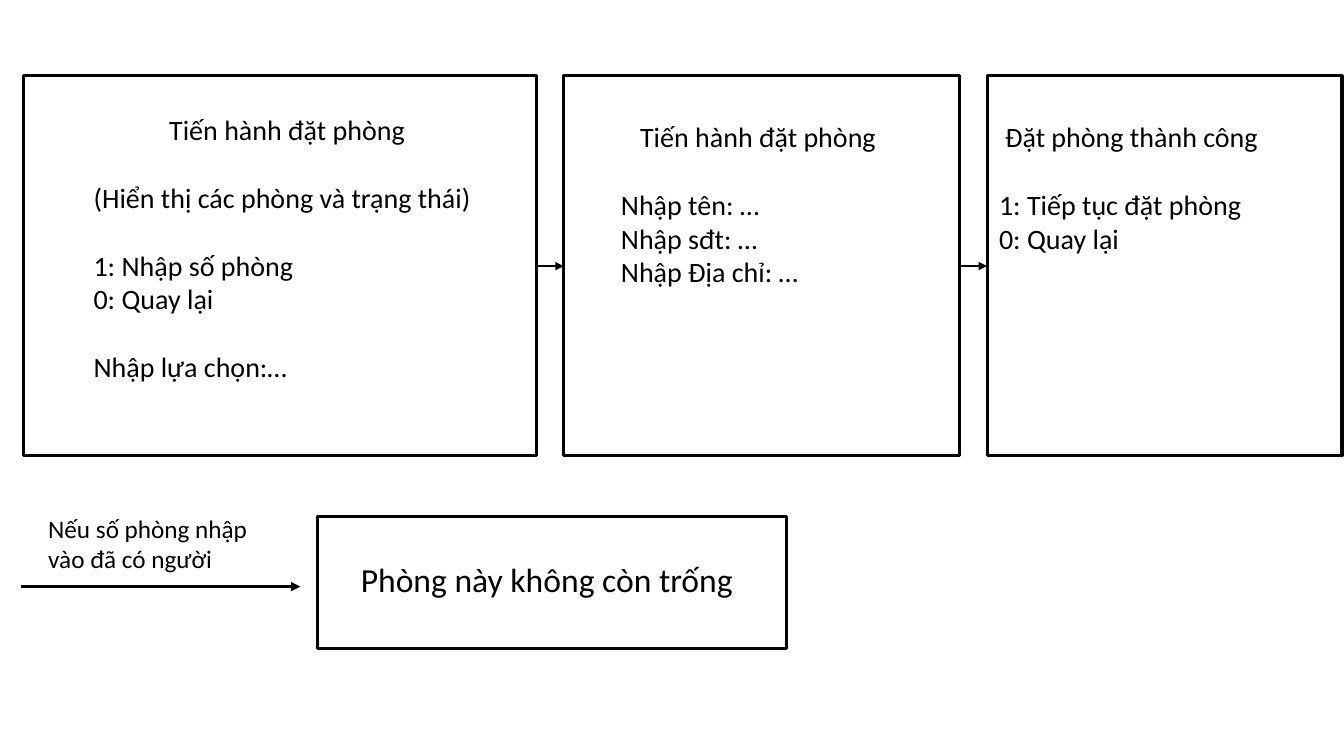
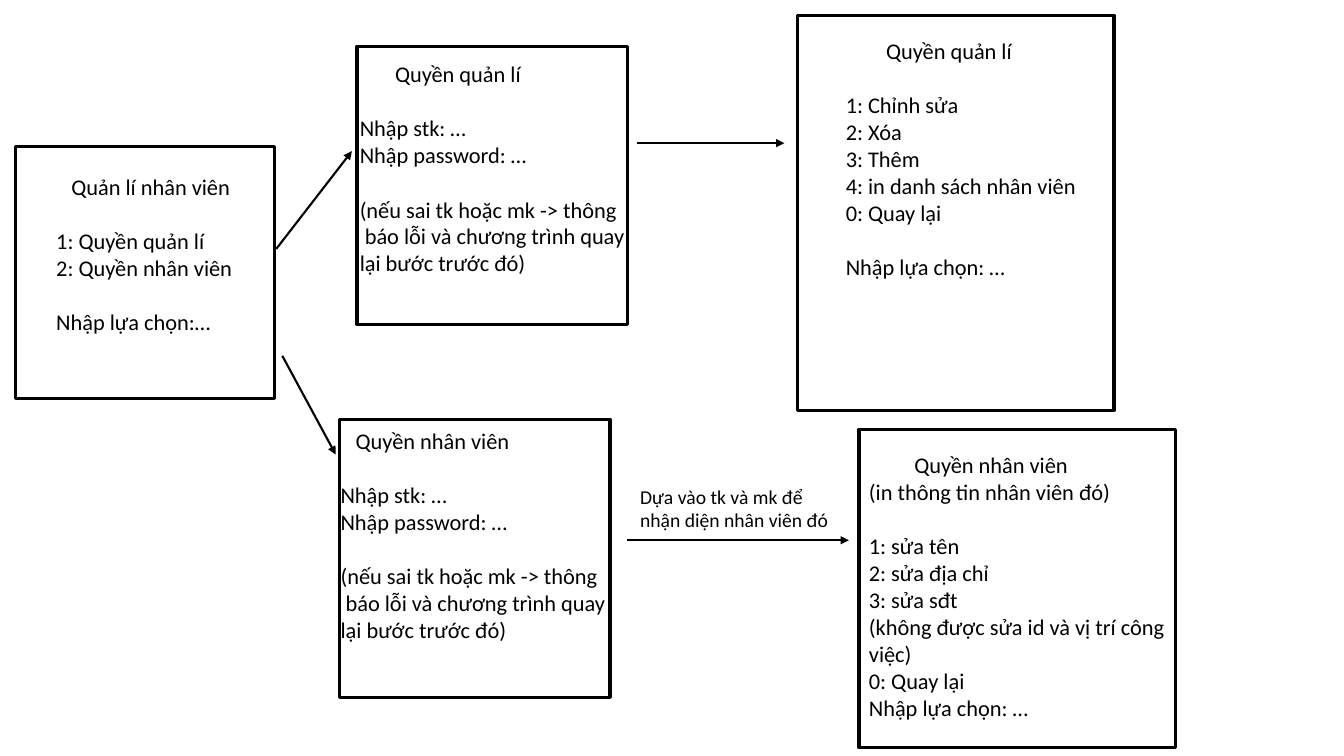
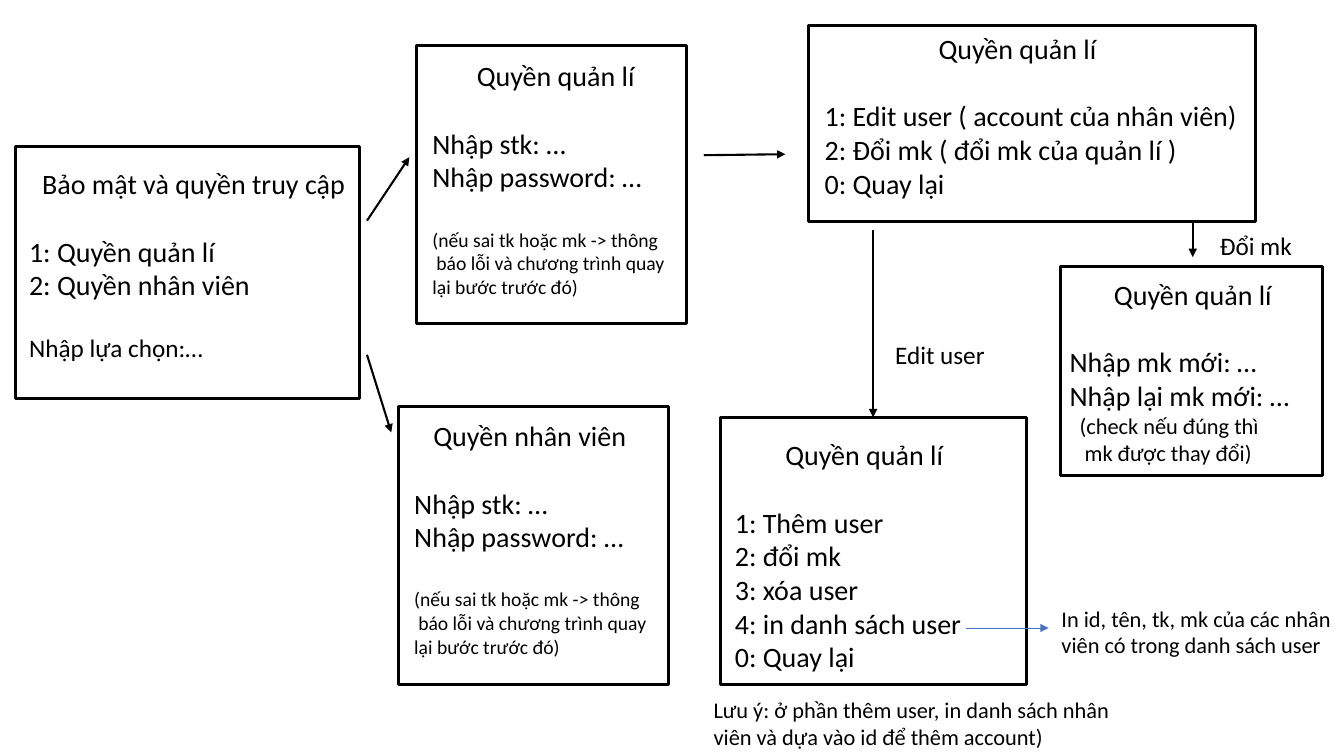
from dataclasses import dataclass

from lxml.etree import SubElement
from pptx import Presentation
from pptx.dml.color import RGBColor
from pptx.enum.shapes import MSO_CONNECTOR, MSO_SHAPE
from pptx.oxml.ns import qn
from pptx.util import Emu, Pt

EMU_PER_PX = 9144
SLIDE_SIZE = (1333, 750)
BLANK_LAYOUT = 6
FONT = "Calibri"
LINE_HEIGHT = 1.22
COLORS = {"ink": "000000", "paper": "FFFFFF", "accent": "4472C4"}


@dataclass
class Row:
    text: str
    indent: int = 0
    gap: int = 0
    size: int = 0


def px(*lengths):
    return [Emu(length * EMU_PER_PX) for length in lengths]


def color(name):
    return RGBColor.from_string(COLORS[name])


def add_box(slide, frame):
    shape = slide.shapes.add_shape(MSO_SHAPE.RECTANGLE, *px(*frame))
    shape.shadow.inherit = False
    shape.fill.solid()
    shape.fill.fore_color.rgb = color("paper")
    shape.line.color.rgb = color("ink")
    shape.line.width = Pt(2.25)


def add_text(slide, frame, size, rows):
    text_frame = slide.shapes.add_textbox(*px(*frame)).text_frame
    text_frame.word_wrap = True
    text_frame.margin_right = 0
    for index, row in enumerate(rows):
        paragraph = text_frame.paragraphs[0] if index == 0 else text_frame.add_paragraph()
        if row.gap:
            paragraph.space_before = Pt(row.gap * LINE_HEIGHT)
        if row.indent:
            properties = paragraph._p.get_or_add_pPr()
            properties.set("marL", str(row.indent * EMU_PER_PX))
            properties.set("indent", "0")
        run = paragraph.add_run()
        run.text = row.text
        run.font.name = FONT
        run.font.size = Pt(row.size or size)
        run.font.color.rgb = color("ink")


def add_panel(slide, box, text_box, size, rows):
    add_box(slide, box)
    add_text(slide, text_box, size, rows)


def add_arrow(slide, start, end, width=1.5, line_color="ink"):
    connector = slide.shapes.add_connector(MSO_CONNECTOR.STRAIGHT, *px(*start, *end))
    connector.line.color.rgb = color(line_color)
    connector.line.width = Pt(width)
    SubElement(connector.line._get_or_add_ln(), qn("a:tailEnd"), type="triangle")
    SubElement(connector._element.spPr, qn("a:effectLst"))


def add_login(slide, corner, text_box, title, size, note_size, note_indent):
    add_panel(slide, (*corner, 268, 276), text_box, size, [
        title,
        Row("Nhập stk: …", gap=size),
        Row("Nhập password: …"),
        Row("(nếu sai tk hoặc mk -> thông", gap=size, size=note_size),
        Row("báo lỗi và chương trình quay", note_indent, size=note_size),
        Row("lại bước trước đó)", size=note_size),
    ])


def build_booking(slide):
    add_panel(slide, (23, 75, 509, 377), (83, 107, 394, 277), 20, [
        Row("Tiến hành đặt phòng", 75),
        Row("(Hiển thị các phòng và trạng thái)", gap=20),
        Row("1: Nhập số phòng", gap=20),
        Row("0: Quay lại"),
        Row("Nhập lựa chọn:…", gap=20),
    ])
    add_panel(slide, (559, 75, 393, 377), (587, 114, 291, 177), 20, [
        Row("Tiến hành đặt phòng", 38),
        Row("Nhập tên: …", 19, gap=20),
        Row("Nhập sđt: …", 19),
        Row("Nhập Địa chỉ: …", 19),
    ])
    add_panel(slide, (979, 75, 352, 377), (962, 114, 371, 143), 20, [
        Row("Đặt phòng thành công", 25),
        Row("1: Tiếp tục đặt phòng", 19, gap=20),
        Row("0: Quay lại", 19),
    ])
    for start, end in ((532, 559), (952, 979)):
        add_arrow(slide, (start, 264), (end, 264))
    add_panel(slide, (315, 512, 465, 131), (348, 550, 423, 50), 24,
              [Row("Phòng này không còn trống")])
    add_text(slide, (38, 504, 242, 70), 18, [Row("Nếu số phòng nhập vào đã có người")])
    add_arrow(slide, (21, 582), (298, 582), 2.25)


def build_staff(slide):
    add_panel(slide, (15, 145, 257, 250), (46, 167, 194, 170), 16, [
        Row("Quản lí nhân viên", 15),
        Row("1: Quyền quản lí", gap=16),
        Row("2: Quyền nhân viên"),
        Row("Nhập lựa chọn:…", gap=16),
    ])
    add_login(slide, (354, 46), (347, 55, 287, 276), Row("Quyền quản lí", 35), 16, 16, 5)
    add_login(slide, (337, 416), (328, 419, 287, 276), Row("Quyền nhân viên", 15), 16, 16, 5)
    add_panel(slide, (791, 15, 314, 392), (829, 32, 248, 276), 16, [
        Row("Quyền quản lí", 40),
        Row("1: Chỉnh sửa", gap=16),
        Row("2: Xóa"),
        Row("3: Thêm"),
        Row("4: in danh sách nhân viên"),
        Row("0: Quay lại"),
        Row("Nhập lựa chọn: …", gap=16),
    ])
    add_panel(slide, (852, 426, 314, 316), (852, 443, 314, 281), 16, [
        Row("Quyền nhân viên", 45),
        Row("(in thông tin nhân viên đó)"),
        Row("1: sửa tên", gap=16),
        Row("2: sửa địa chỉ"),
        Row("3: sửa sđt"),
        Row("(không được sửa id và vị trí công việc)"),
        Row("0: Quay lại"),
        Row("Nhập lựa chọn: …"),
    ])
    add_text(slide, (625, 476, 207, 57), 14, [
        Row("Dựa vào tk và mk để"),
        Row("nhận diện nhân viên đó"),
    ])
    for start, end in (
        ((274, 247), (349, 150)),
        ((280, 353), (333, 451)),
        ((632, 142), (778, 142)),
        ((622, 536), (842, 536)),
    ):
        add_arrow(slide, start, end)


def build_security(slide):
    add_panel(slide, (15, 145, 342, 250), (19, 160, 333, 203), 20, [
        Row("Bảo mật và quyền truy cập", 13),
        Row("1: Quyền quản lí", gap=20),
        Row("2: Quyền nhân viên"),
        Row("Nhập lựa chọn:…", gap=18, size=18),
    ])
    add_login(slide, (413, 45), (419, 53, 255, 310), Row("Quyền quản lí", 44), 20, 14, 4)
    add_login(slide, (395, 403), (401, 410, 255, 310), Row("Quyền nhân viên", 19), 20, 14, 4)
    add_panel(slide, (802, 25, 443, 195), (808, 26, 435, 273), 20, [
        Row("Quyền quản lí", 113),
        Row("1: Edit user ( account của nhân viên)", gap=20),
        Row("2: Đổi mk ( đổi mk của quản lí )"),
        Row("0: Quay lại"),
    ])
    add_panel(slide, (715, 414, 303, 265), (719, 429, 244, 273), 20, [
        Row("Quyền quản lí", 50),
        Row("1: Thêm user", gap=20),
        Row("2: đổi mk"),
        Row("3: xóa user"),
        Row("4: in danh sách user"),
        Row("0: Quay lại"),
    ])
    add_panel(slide, (1052, 264, 260, 208), (1051, 270, 238, 227), 20, [
        Row("Quyền quản lí", 44),
        Row("Nhập mk mới: …", gap=20),
        Row("Nhập lại mk mới: …"),
        Row("(check nếu đúng thì", 10, size=16),
        Row("mk được thay đổi)", 15, size=16),
    ])
    add_text(slide, (878, 332, 109, 40), 18, [Row("Edit user")])
    add_text(slide, (1194, 224, 97, 40), 18, [Row("Đổi mk", 6)])
    add_text(slide, (698, 686, 600, 63), 16, [
        Row("Lưu ý: ở phần thêm user, in danh sách nhân"),
        Row("viên và dựa vào id để thêm account)"),
    ])
    add_text(slide, (1043, 595, 290, 63), 16, [
        Row("In id, tên, tk, mk của các nhân"),
        Row("viên có trong danh sách user"),
    ])
    for start, end in (
        ((364, 219), (406, 156)),
        ((364, 352), (388, 429)),
        ((698, 154), (779, 153)),
        ((866, 228), (866, 414)),
        ((1183, 220), (1183, 255)),
    ):
        add_arrow(slide, start, end)
    add_arrow(slide, (958, 623), (1040, 623), 0.5, "accent")


def main():
    presentation = Presentation()
    presentation.slide_width, presentation.slide_height = px(*SLIDE_SIZE)
    layout = presentation.slide_layouts[BLANK_LAYOUT]
    for build in (build_booking, build_staff, build_security):
        build(presentation.slides.add_slide(layout))
    presentation.save("out.pptx")


if __name__ == "__main__":
    main()
